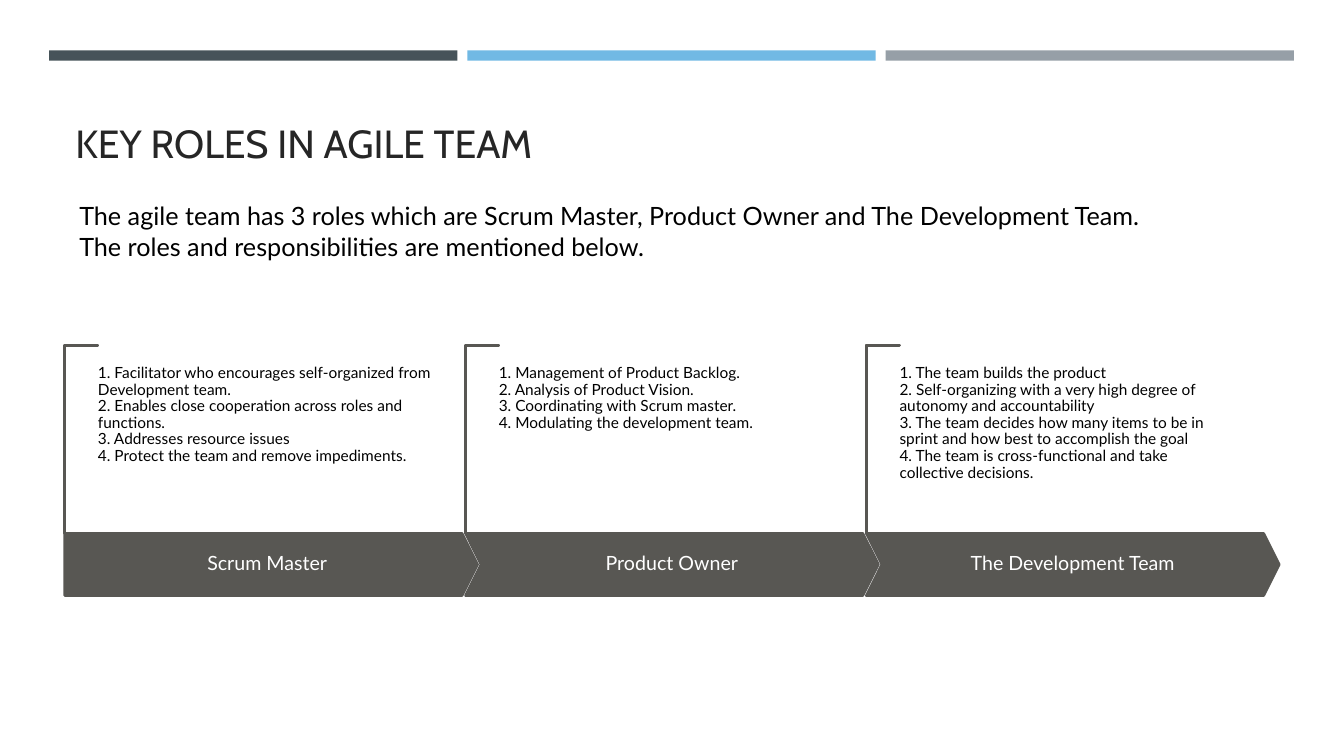
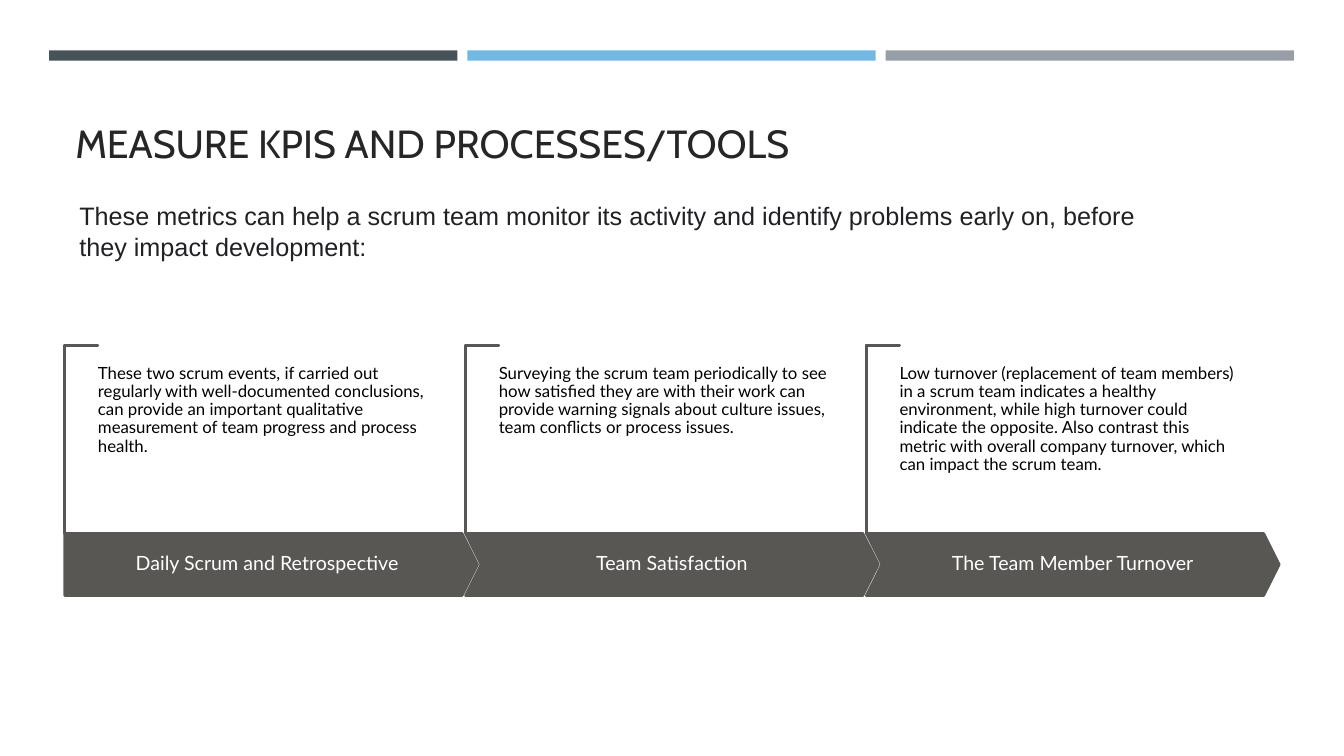
from lxml.etree import SubElement
from pptx import Presentation
from pptx.dml.color import RGBColor
from pptx.enum.shapes import MSO_SHAPE
from pptx.enum.text import MSO_ANCHOR, PP_ALIGN
from pptx.oxml.ns import qn
from pptx.util import Cm, Pt

SLATE = RGBColor(0x46, 0x53, 0x59)
SKY = RGBColor(0x71, 0xB9, 0xE4)
STEEL = RGBColor(0x96, 0x9F, 0xA7)
OLIVE = RGBColor(0x58, 0x57, 0x53)
SAND = RGBColor(0xEB, 0xDD, 0xC3)
TITLE_INK = RGBColor(0x26, 0x26, 0x26)
INTRO_INK = RGBColor(0x20, 0x21, 0x24)
BLACK = RGBColor(0, 0, 0)
WHITE = RGBColor(0xFF, 0xFF, 0xFF)

TITLE_FONT = "Cabin"
BODY_FONT = "Lato"

ROLES = [
    ("Scrum Master", [
        "1. Facilitator who encourages self-organized from Development team.",
        "2. Enables close cooperation across roles and functions.",
        "3. Addresses resource issues",
        "4. Protect the team and remove impediments.",
    ]),
    ("Product Owner", [
        "1. Management of Product Backlog.",
        "2. Analysis of Product Vision.",
        "3. Coordinating with Scrum master.",
        "4. Modulating the development team.",
    ]),
    ("The Development Team", [
        "1. The team builds the product",
        "2. Self-organizing with a very high degree of autonomy and accountability",
        "3. The team decides how many items to be in sprint and how best to accomplish the goal",
        "4. The team is cross-functional and take collective decisions.",
    ]),
]
METRICS = [
    ("Daily Scrum and Retrospective", [
        "These two scrum events, if carried out regularly with well-documented "
        "conclusions, can provide an important qualitative measurement of team "
        "progress and process health.",
    ]),
    ("Team Satisfaction", [
        "Surveying the scrum team periodically to see how satisfied they are with "
        "their work can provide warning signals about culture issues, team "
        "conflicts or process issues.",
    ]),
    ("The Team Member Turnover", [
        "Low turnover (replacement of team members) in a scrum team indicates a "
        "healthy environment, while high turnover could indicate the opposite. "
        "Also contrast this metric with overall company turnover, which can "
        "impact the scrum team.",
    ]),
]


def write(tf, lines, size, color, font=BODY_FONT, align=PP_ALIGN.LEFT, spacing=1.0):
    tf.word_wrap = True
    for i, line in enumerate(lines):
        p = tf.paragraphs[0] if i == 0 else tf.add_paragraph()
        p.text = line
        p.alignment = align
        p.line_spacing = spacing
        p.font.name = font
        p.font.size = Pt(size)
        p.font.color.rgb = color


def set_insets(tf, side, end):
    tf.margin_left = tf.margin_right = side
    tf.margin_top = tf.margin_bottom = end


def add_text(s, box, lines, size, color, **style):
    tf = s.shapes.add_textbox(*box).text_frame
    write(tf, lines, size, color, **style)
    return tf


def add_block(s, kind, box, fill, line=None):
    sp = s.shapes.add_shape(kind, *box)
    sp.shadow.inherit = False
    sp.fill.solid()
    sp.fill.fore_color.rgb = fill
    if line is None:
        sp.line.fill.background()
    else:
        sp.line.color.rgb = line
        sp.line.width = Pt(1.75)
        SubElement(sp._element.spPr.find(qn("a:ln")), qn("a:round"))
    return sp


def add_bars(s, left, top, width, height):
    gap = Cm(0.25)
    bar = (width - 2 * gap) // 3
    for i, color in enumerate((SLATE, SKY, STEEL)):
        box = (left + i * (bar + gap), top, bar, height)
        add_block(s, MSO_SHAPE.RECTANGLE, box, color)


def add_heading(s, left, top, width, height, title):
    tf = add_text(s, (left, top, width, height), [title], 28, TITLE_INK, font=TITLE_FONT)
    tf.vertical_anchor = MSO_ANCHOR.MIDDLE


def add_bracket(s, left, top, width, height):
    shift = (height - width) // 2
    box = (left - shift, top + shift, height, width)
    sp = add_block(s, MSO_SHAPE.CORNER, box, SAND, OLIVE)
    sp.rotation = 90
    sp.adjustments[0] = sp.adjustments[1] = 0.01


def add_step(s, left, top, width, height, kind, label, lines, size):
    arm, arrow_height, pad = Cm(0.84), Cm(1.57), Cm(0.5)
    arrow_top = top + height - arrow_height
    add_bracket(s, left, top, arm, arrow_top - top)

    sp = add_block(s, kind, (left, arrow_top, width, arrow_height), OLIVE, OLIVE)
    sp.adjustments[0] = 0.25
    tf = sp.text_frame
    set_insets(tf, Cm(0.25), Cm(0.48))
    tf.vertical_anchor = MSO_ANCHOR.MIDDLE
    write(tf, [label], 14, WHITE, align=PP_ALIGN.CENTER, spacing=0.9)

    box = (left + arm, top + pad, Cm(8.46), arrow_top - top - 2 * pad)
    tf = add_text(s, box, lines, size, BLACK, spacing=0.9)
    set_insets(tf, 0, 0)


def add_process(s, left, top, width, height, steps, size):
    overlap = Cm(0.31)
    step = (width + (len(steps) - 1) * overlap) // len(steps)
    for i, (label, lines) in enumerate(steps):
        kind = MSO_SHAPE.CHEVRON if i else MSO_SHAPE.PENTAGON
        x = left + i * (step - overlap)
        add_step(s, x, top, step, height, kind, label, lines, size)


def add_process_slide(prs, title, intro, steps, size, intro_font, intro_color):
    s = prs.slides.add_slide(prs.slide_layouts[6])
    add_bars(s, Cm(1.24), Cm(1.27), Cm(31.37), Cm(0.26))
    add_heading(s, Cm(1.65), Cm(1.96), Cm(30.63), Cm(3.3), title)
    intro_box = (Cm(1.75), Cm(4.93), Cm(28.37), Cm(1.8))
    add_text(s, intro_box, [intro], 18, intro_color, font=intro_font)
    add_process(s, Cm(1.63), Cm(8.7), Cm(30.61), Cm(6.31), steps, size)


def main():
    prs = Presentation()
    prs.slide_width = Cm(33.87)
    prs.slide_height = Cm(19.05)
    add_process_slide(
        prs,
        "KEY ROLES IN AGILE TEAM",
        "The agile team has 3 roles which are Scrum Master, Product Owner and "
        "The Development Team. The roles and responsibilities are mentioned below.",
        ROLES, 11, BODY_FONT, BLACK,
    )
    add_process_slide(
        prs,
        "MEASURE KPIS AND PROCESSES/TOOLS",
        "These metrics can help a scrum team monitor its activity and identify "
        "problems early on, before they impact development:",
        METRICS, 12, "Arial", INTRO_INK,
    )
    prs.save("out.pptx")


if __name__ == "__main__":
    main()
